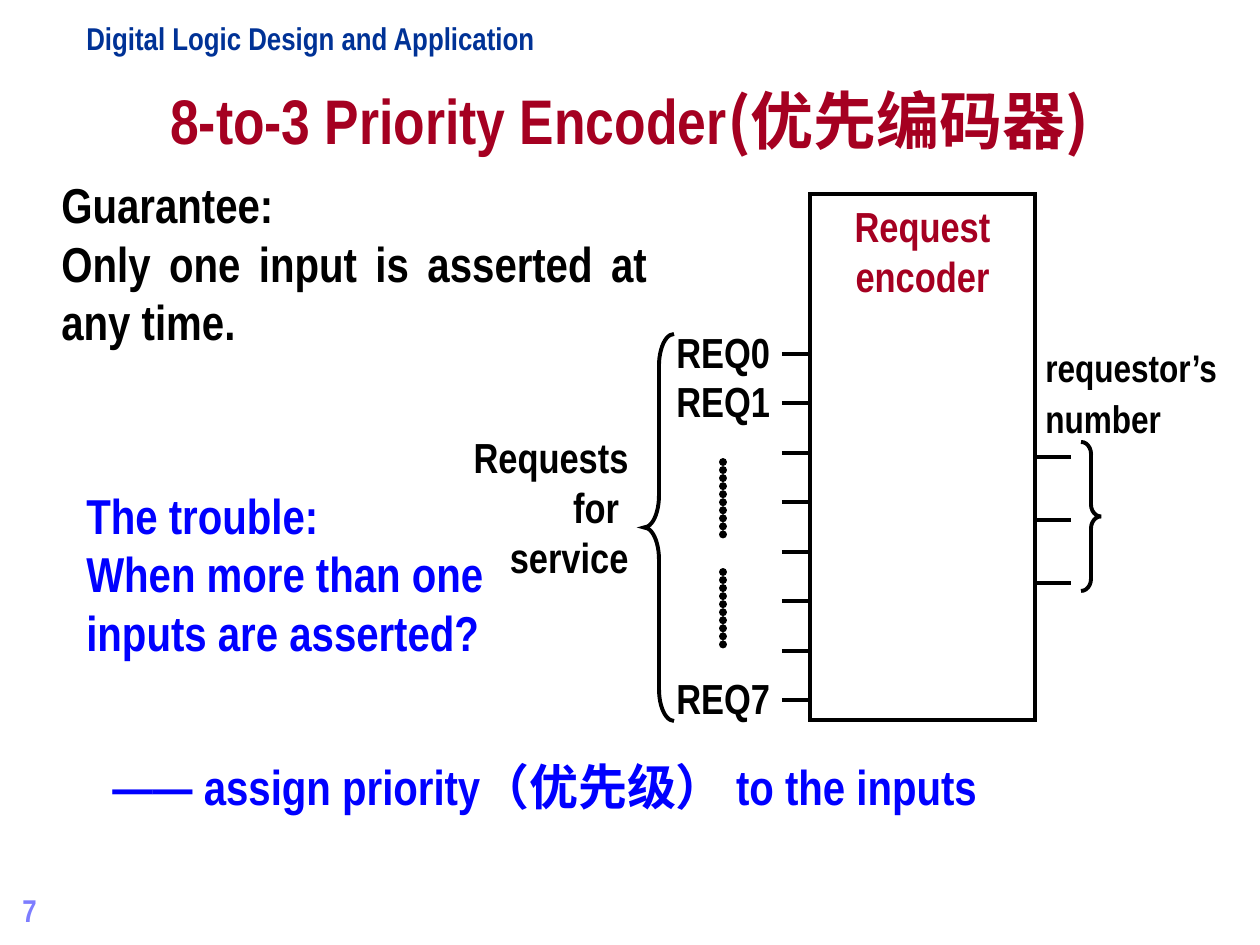
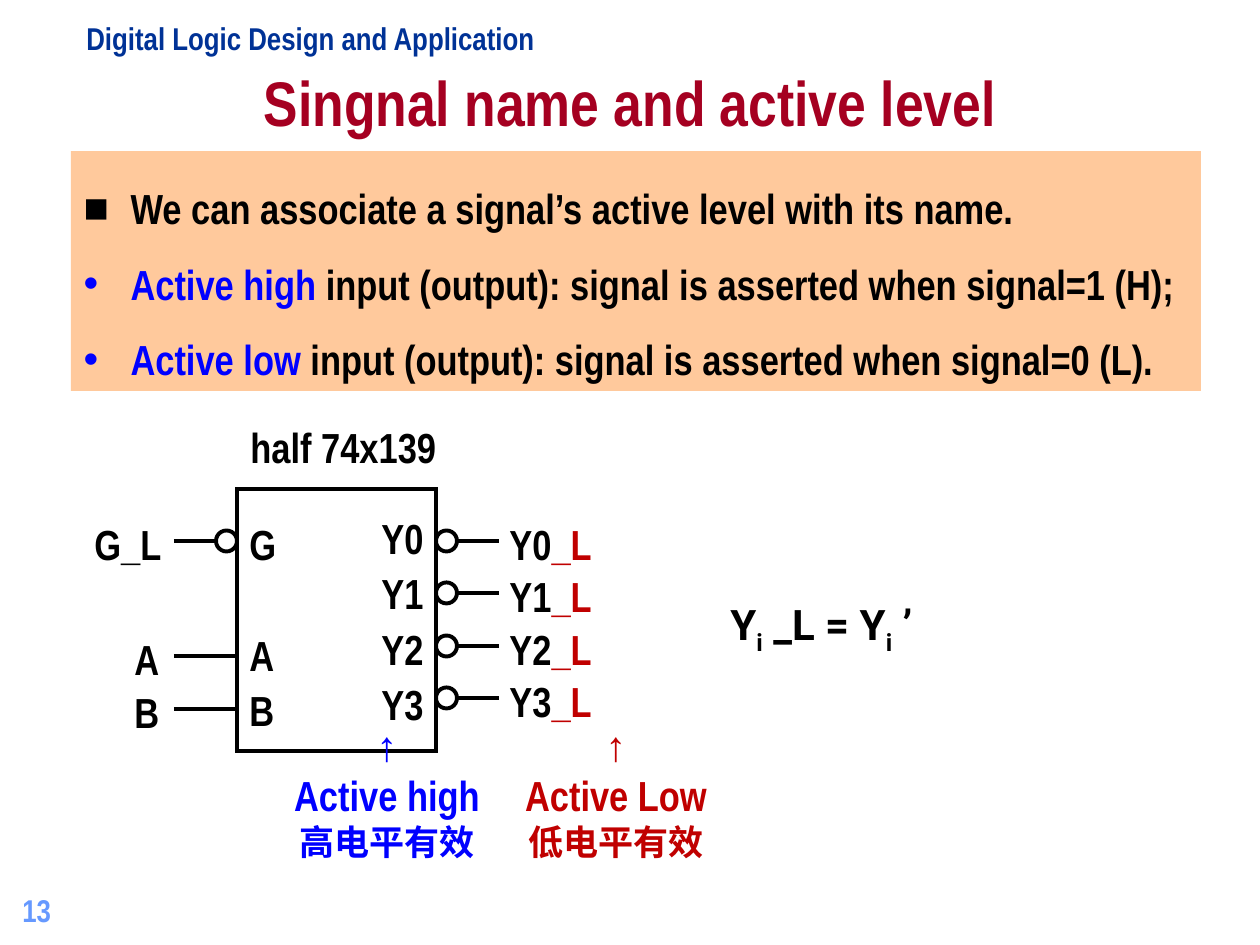
from lxml.etree import SubElement
from pptx import Presentation
from pptx.dml.color import RGBColor
from pptx.enum.shapes import MSO_CONNECTOR, MSO_SHAPE
from pptx.enum.text import MSO_ANCHOR, MSO_AUTO_SIZE, PP_ALIGN
from pptx.oxml.ns import qn
from pptx.util import Emu, Pt

# Shared look
PX_PER_INCH = 126
BLACK, BLUE, RED, CRIMSON = "000000", "0000FF", "C00000", "A50021"
NAVY, PEACH = "003296", "FFC99C"
FONT, CJK_FONT = "Arial Narrow", "Noto Sans CJK JP"
LEFT, CENTER, RIGHT = PP_ALIGN.LEFT, PP_ALIGN.CENTER, PP_ALIGN.RIGHT
TITLE_HEIGHT = 100
LABEL_HEIGHT = 63


def px(length):
    return Emu(round(length * 914400 / PX_PER_INCH))


def color(hex_string):
    return RGBColor.from_string(hex_string)


# Text
def add_run(paragraph, text, size, ink, font=FONT, baseline=0):
    run = paragraph.add_run()
    run.text = text
    run.font.size = Pt(size)
    run.font.bold = True
    run.font.color.rgb = color(ink)
    run.font.name = font
    properties = run._r.get_or_add_rPr()
    SubElement(properties, qn("a:ea")).set("typeface", CJK_FONT)
    if baseline:
        properties.set("baseline", str(baseline * 1000))


def write(shape, paragraphs, size=24, ink=BLACK, font=FONT, align=LEFT,
          spacing=1.0, anchor=MSO_ANCHOR.TOP, wrap=False, grow=False):
    """Fill a shape; a paragraph is a string or a list of strings and (text, format) pairs."""
    frame = shape.text_frame
    frame.word_wrap = wrap
    frame.auto_size = MSO_AUTO_SIZE.SHAPE_TO_FIT_TEXT if grow else MSO_AUTO_SIZE.NONE
    frame.vertical_anchor = anchor
    for index, runs in enumerate(paragraphs):
        paragraph = frame.add_paragraph() if index else frame.paragraphs[0]
        paragraph.alignment = align
        paragraph.line_spacing = spacing
        paragraph.space_before = Pt(0)
        for run in [runs] if isinstance(runs, str) else runs:
            text, changes = (run, {}) if isinstance(run, str) else run
            add_run(paragraph, text, **{"size": size, "ink": ink, "font": font, **changes})


def add_text(slide, x, y, width, height, *paragraphs, grow=True, **text_format):
    box = slide.shapes.add_textbox(px(x), px(y), px(width), px(height))
    write(box, paragraphs, grow=grow, **text_format)


def set_bullet(paragraph, character, ink, indent=47):
    properties = paragraph._p.get_or_add_pPr()
    properties.set("marL", str(px(indent)))
    properties.set("indent", str(-px(indent)))
    bullet_color = SubElement(properties, qn("a:buClr"))
    SubElement(bullet_color, qn("a:srgbClr")).set("val", ink)
    SubElement(properties, qn("a:buFont")).set("typeface", "Arial")
    SubElement(properties, qn("a:buChar")).set("char", character)


# Drawing
def place(shape, x, y, width, height):
    shape.left, shape.top, shape.width, shape.height = map(px, (x, y, width, height))


def add_outline(slide, kind, x, y, width, height):
    shape = slide.shapes.add_shape(kind, px(x), px(y), px(width), px(height))
    shape.shadow.inherit = False
    shape.fill.background()
    shape.line.color.rgb = color(BLACK)
    shape.line.width = Pt(2.25)
    SubElement(shape.line._ln, qn("a:miter")).set("lim", "800000")
    return shape


def add_brace(slide, kind, x, y, width, height, curve):
    add_outline(slide, kind, x, y, width, height).adjustments[0] = curve


def add_line(slide, x1, y1, x2, y2, width=2.25):
    line = slide.shapes.add_connector(
        MSO_CONNECTOR.STRAIGHT, px(x1), px(y1), px(x2), px(y2))
    line.line.color.rgb = color(BLACK)
    line.line.width = Pt(width)
    SubElement(line._element.spPr, qn("a:effectLst"))
    return line


def add_dots(slide, x, y, length):
    """Draw a column of round dots that almost touch."""
    outline = add_line(slide, x, y, x, y + length, width=4.5).line._ln
    outline.set("cap", "rnd")
    dash = SubElement(SubElement(outline, qn("a:custDash")), qn("a:ds"))
    dash.set("d", "100000")
    dash.set("sp", "2000")


def add_bubble(slide, x, middle, size=21):
    add_outline(slide, MSO_SHAPE.OVAL, x, middle - size / 2, size, size)


# Slide frame: course header, page number and title
def start_slide(presentation, layout, number, number_ink, title, title_top):
    slide = presentation.slides.add_slide(presentation.slide_layouts[layout])
    add_text(slide, 74, 13, 490, 50, "Digital Logic Design and Application", size=18, ink=NAVY)
    add_text(slide, 10, 872, 262, 63, number, size=18, ink=number_ink,
             anchor=MSO_ANCHOR.BOTTOM, wrap=True, grow=False)
    place(slide.shapes.title, 0, title_top, 1260, TITLE_HEIGHT)
    write(slide.shapes.title, [title], size=36, ink=CRIMSON, align=CENTER,
          anchor=MSO_ANCHOR.MIDDLE, wrap=True)
    return slide


def build_priority_encoder(presentation):
    title = ["8-to-3 Priority Encoder", ("(优先编码器)", {"font": CJK_FONT})]
    slide = start_slide(presentation, 5, "7", "7D7DFF", title, 69)

    # Statements
    add_text(slide, 49, 168, 610, 189, "Guarantee:",
             "Only one input is asserted at any time.",
             size=28, align=PP_ALIGN.JUSTIFY, wrap=True)
    add_text(slide, 74, 479, 451, 189, "The trouble:",
             "When more than one inputs are asserted?", size=28, ink=BLUE, wrap=True)
    add_text(slide, 100, 750, 926, 72, "—— assign priority（优先级） to the inputs",
             size=28, ink=BLUE)

    # Encoder block
    encoder = add_outline(slide, MSO_SHAPE.RECTANGLE, 810, 194, 225, 526)
    write(encoder, ["Request", "encoder"], ink=CRIMSON, align=CENTER)

    # Request inputs
    for request in range(8):
        y = 354 + request * 99 // 2
        add_line(slide, 782, y, 810, y)
        if request in (0, 1, 7):
            add_text(slide, 664, y - 34, 140, LABEL_HEIGHT, f"REQ{request}")
    for y in (462, 572):
        add_dots(slide, 723, y, 73)
    add_brace(slide, MSO_SHAPE.LEFT_BRACE, 644, 334, 30, 387, curve=1.06)
    add_text(slide, 441, 425, 200, 164, "Requests", "for ", "service", align=RIGHT)

    # Number outputs
    outputs = [add_line(slide, 1035, y, 1071, y) for y in (457, 520, 583)]
    outputs[0].begin_connect(encoder, 3)
    add_brace(slide, MSO_SHAPE.RIGHT_BRACE, 1081, 442, 20, 149, curve=0.6)
    add_text(slide, 1033, 333, 205, 115, "requestor’s", "number", size=22, spacing=1.1)


def build_active_level(presentation):
    slide = start_slide(presentation, 1, "13", "6699FF", ["Singnal name and active level"], 51)

    # Definitions
    definitions = slide.placeholders[1]
    place(definitions, 71, 151, 1130, 240)
    definitions.fill.solid()
    definitions.fill.fore_color.rgb = color(PEACH)
    blue = {"ink": BLUE}
    write(definitions, [
        "We can associate a signal’s active level with its name.",
        [("Active high ", blue), "input (output): signal is asserted when signal=1 (H);"],
        [("Active low ", blue), "input (output): signal is asserted when signal=0 (L)."],
    ], spacing=1.5, wrap=True)
    bullets = (("■", BLACK), ("•", BLUE), ("•", BLUE))
    for paragraph, (character, ink) in zip(definitions.text_frame.paragraphs, bullets):
        set_bullet(paragraph, character, ink)

    # Decoder block with its inner pin names
    add_outline(slide, MSO_SHAPE.RECTANGLE, 237, 489, 199, 262)
    add_text(slide, 238, 415, 240, LABEL_HEIGHT, "half 74x139")
    add_text(slide, 369, 501, 80, 234, "Y0", "Y1", "Y2", "Y3", spacing=1.1)
    add_text(slide, 237, 507, 65, 68, "G", spacing=1.1)
    add_text(slide, 237, 618, 65, 124, "A", "B", spacing=1.1)

    # Inputs
    for name, x, width, y, wire_end in (
            ("G_L", 82, 110, 541, 216), ("A", 122, 65, 656, 237), ("B", 122, 65, 709, 237)):
        add_line(slide, 174, y, wire_end, y)
        add_text(slide, x, y - 29, width, LABEL_HEIGHT, name)
    add_bubble(slide, 216, 541)

    # Outputs
    for output in range(4):
        y = 541 + output * 105 // 2
        add_bubble(slide, 436, y)
        add_line(slide, 457, y, 499, y)
        add_text(slide, 497, y - 29, 130, LABEL_HEIGHT, [f"Y{output}", ("_L", {"ink": RED})])

    # Level captions
    for x, width, ink, english, chinese in (
            (267, 240, BLUE, "Active high", "高电平有效"),
            (496, 240, RED, "Active Low", "低电平有效")):
        add_text(slide, x, 713, width, 156, [("↑", {"font": "Arial"})], english,
                 [(chinese, {"font": CJK_FONT, "size": 20})], ink=ink, align=CENTER)

    # Naming rule
    subscript = ("i", {"baseline": -25})
    add_text(slide, 718, 564, 284, 100, ["Y", subscript, " _L = Y", subscript, " ’"],
             font="Roboto", spacing=1.5, wrap=True)


def main():
    presentation = Presentation()
    presentation.slide_width, presentation.slide_height = px(1260), px(945)
    build_priority_encoder(presentation)
    build_active_level(presentation)
    presentation.save("out.pptx")


if __name__ == "__main__":
    main()
